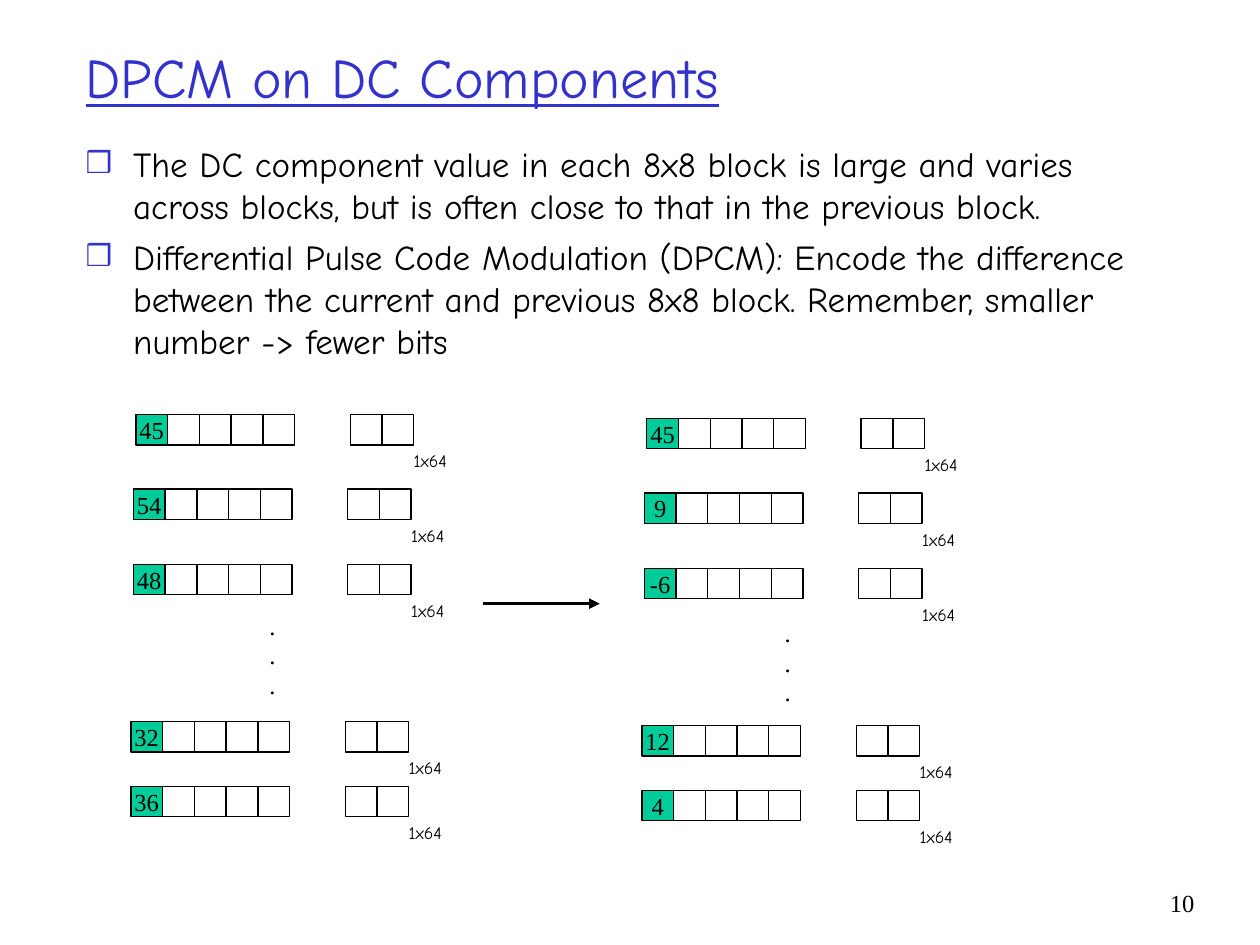
import pptx
import pptx.util
import pptx.dml.color
import pptx.enum.shapes
import pptx.enum.text
import pptx.oxml
import pptx.oxml.ns

Cm, Pt = pptx.util.Cm, pptx.util.Pt
ALIGN = pptx.enum.text.PP_ALIGN
ANCHOR = pptx.enum.text.MSO_ANCHOR
AUTO = pptx.enum.text.MSO_AUTO_SIZE
KIND = pptx.enum.shapes
NS = pptx.oxml.ns.nsdecls("a")

HUES = {"title": "3333CC", "text": "000000", "dc": "00CC99"}
COMIC, TIMES = "Comic Neue", "Times New Roman"


def hue(key):
    return pptx.dml.color.RGBColor.from_string(HUES[key])


def put(item, vals):
    for name, val in vals.items():
        setattr(item, name, val)


def node(xml):
    return pptx.oxml.parse_xml(xml)


class Page:
    """Holds the style and the current slide."""

    cell_w, cell_h = 0.64, 0.61

    def __init__(self, deck):
        self.slide = deck.slides.add_slide(deck.slide_layouts[1])
        self.shapes = self.slide.shapes

    def label(self, shape, lines, size, face, tone="text", frame=None, para=None, font=None):
        body = shape.text_frame
        body.text = "\n".join(lines)
        put(body, frame or {})
        look = {"size": Pt(size), "name": face, **(font or {})}
        for part in body.paragraphs:
            put(part, para or {})
            put(part.font, look)
            part.font.color.rgb = hue(tone)
        return body

    def place(self, shape, box):
        put(shape, dict(zip(("left", "top", "width", "height"), map(Cm, box))))

    def title(self, text, box):
        shape = self.shapes.title
        self.place(shape, box)
        self.label(shape, [text], 32, COMIC, "title",
                   {"vertical_anchor": ANCHOR.MIDDLE, "auto_size": AUTO.NONE},
                   {"alignment": ALIGN.LEFT}, {"underline": True})

    def bullets(self, lines, box):
        shape = self.slide.placeholders[1]
        self.place(shape, box)
        body = self.label(shape, lines, 20, COMIC,
                          frame={"vertical_anchor": ANCHOR.TOP, "auto_size": AUTO.NONE},
                          para={"space_before": Pt(5)})
        for part in body.paragraphs:
            props = part._p.get_or_add_pPr()
            props.set("marL", str(Cm(0.96)))
            props.set("indent", str(-Cm(0.96)))
            marks = (f'<a:buClr {NS}><a:srgbClr val="{HUES["title"]}"/></a:buClr>',
                     f'<a:buSzPct {NS} val="85000"/>',
                     f'<a:buChar {NS} char="❒"/>')
            # Bullet marks come before the default run format
            for xml in marks:
                props.insert_element_before(node(xml), "a:tabLst", "a:defRPr", "a:extLst")

    def note(self, lines, box, size, face, wrap=False, align=ALIGN.LEFT):
        shape = self.shapes.add_textbox(*map(Cm, box))
        self.label(shape, lines, size, face, frame={"word_wrap": wrap},
                   para={"alignment": align})

    def cell(self, x, y, text=None):
        shape = self.shapes.add_shape(KIND.MSO_SHAPE.RECTANGLE,
                                      *map(Cm, (x, y, self.cell_w, self.cell_h)))
        shape.shadow.inherit = False
        shape.line.color.rgb = hue("text")
        shape.line.width = Pt(0.75)
        if text is None:
            shape.fill.background()
            return
        shape.fill.solid()
        shape.fill.fore_color.rgb = hue("dc")
        self.label(shape, [text], 14, TIMES,
                   frame={"word_wrap": False, "vertical_anchor": ANCHOR.MIDDLE},
                   para={"alignment": ALIGN.CENTER})

    def row(self, x, y, value):
        for i in range(1, 5):
            self.cell(x + i * self.cell_w, y)
        for i in range(2):
            self.cell(x + 4.32 + i * self.cell_w, y)
        self.cell(x, y, value)
        self.note(["1x64"], (x + 5.35, y + 0.59, 1.17, 0.69), 10, COMIC)

    def arrow(self, x1, y1, x2, y2):
        line = self.shapes.add_connector(KIND.MSO_CONNECTOR.STRAIGHT,
                                         *map(Cm, (x1, y1, x2, y2)))
        line.line.color.rgb = hue("text")
        line.line.width = Pt(2)
        line.line._get_or_add_ln().append(node(f'<a:tailEnd {NS} type="triangle"/>'))
        line._element.spPr.append(node(f"<a:effectLst {NS}/>"))


def main():
    deck = pptx.Presentation()
    put(deck, {"slide_width": Cm(25.4), "slide_height": Cm(19.05)})
    page = Page(deck)

    # Title and list
    page.title("DPCM on DC Components", (1.47, 0.64, 21.59, 1.78))
    page.bullets([
        "The DC component value in each 8x8 block is large and varies across blocks, "
        "but is often close to that in the previous block.",
        "Differential Pulse Code Modulation (DPCM): Encode the difference between the "
        "current and previous 8x8 block. Remember, smaller number -> fewer bits",
    ], (1.47, 2.74, 22.12, 5.28))

    # Blocks before and after coding: left, top, DC value, difference
    rows = [(2.74, 8.36, "45", "45"), (2.69, 9.86, "54", "9"), (2.69, 11.38, "48", "-6"),
            (2.64, 14.55, "32", "12"), (2.64, 15.85, "36", "4")]
    for x, y, value, diff in rows:
        page.row(x, y, value)
        page.row(x + 10.3, y + 0.08, diff)

    # Rows left out
    for x, y in ((5.18, 12.19), (15.57, 12.34)):
        page.note(["."] * 3, (x, y, 0.64, 2.03), 14, TIMES)

    # Step from values to differences
    page.arrow(9.73, 12.17, 12.09, 12.17)

    # Page number
    page.note(["10"], (23.06, 17.78, 1.27, 1.27), 14, TIMES, True, ALIGN.RIGHT)

    deck.save("out.pptx")


if __name__ == "__main__":
    main()
